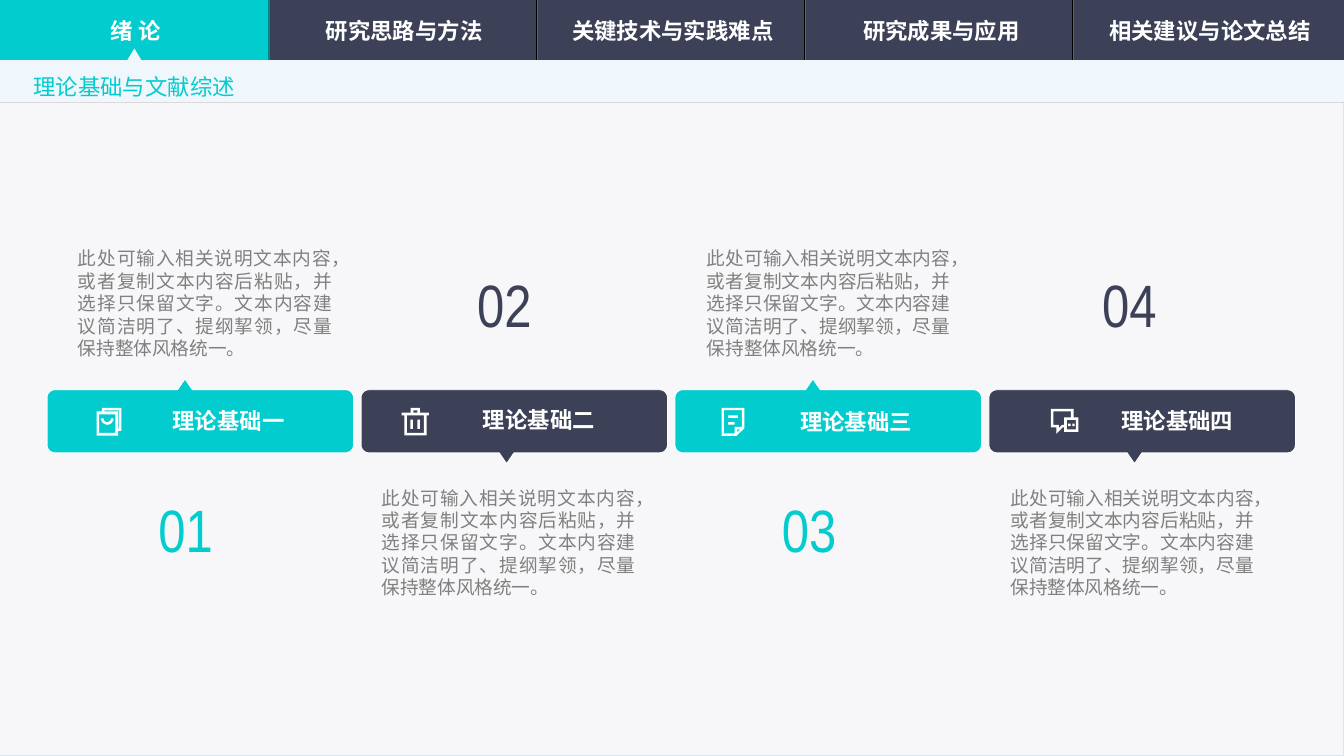
from math import cos, sin, radians
from lxml.etree import SubElement
from pptx import Presentation
from pptx.util import Pt
from pptx.dml.color import RGBColor
from pptx.enum.shapes import MSO_SHAPE, MSO_CONNECTOR
from pptx.enum.text import PP_ALIGN, MSO_ANCHOR
from pptx.oxml.ns import qn

TEAL, NAVY, WHITE, GREY = "03CCCE", "3C4157", "FFFFFF", "808080"
SANS, NARROW = "Noto Sans CJK SC", "Arial Narrow"
W, H, NAV_H, HEAD_B = 720, 405, 32.3, 54.8

TABS = ["绪 论", "研究思路与方法", "关键技术与实践难点", "研究成果与应用", "相关建议与论文总结"]
TITLE = "理论基础与文献综述"
BODY = "此处可输入相关说明文本内容，或者复制文本内容后粘贴，并选择只保留文字。文本内容建议简洁明了、提纲挈领，尽量保持整体风格统一。"


def arc(cx, cy, r, start, end, n=8):
    angles = [radians(start + (end - start) * i / n) for i in range(n + 1)]
    return [(cx + r * cos(a), cy + r * sin(a)) for a in angles]


BAG = dict(at=(51.8, 218.5), rects=[], outlines=[
    [[(0, 2), (2.8, 2), (2.8, 0), (13.2, 0), (13.2, 12.4), (11.5, 12.4), (11.5, 14.9), (0, 14.9)],
     [(1.4, 3.5), (10.1, 3.5), (10.1, 13.5), (1.4, 13.5)],
     [(4.2, 1.4), (11.9, 1.4), (11.9, 11), (11.5, 11), (11.5, 2), (4.2, 2)]],
    [arc(5.7, 5.7, 3.4, 180, 0) and arc(5.7, 5.7, 3.4, 0, 180) + arc(5.7, 5.7, 2, 180, 0)]])
BAG["outlines"][1] = [arc(5.7, 5.7, 3.4, 0, 180) + arc(5.7, 5.7, 2, 180, 0)]
BIN = dict(at=(215.2, 218.5), rects=[(4.6, 6.3, 1.4, 5), (8.4, 6.3, 1.4, 5)], outlines=[
    [[(0, 2.6), (4.8, 2.6), (4.8, 0), (9.8, 0), (9.8, 2.6), (14.6, 2.6), (14.6, 4), (13.3, 4),
      (13.3, 14.8), (1.4, 14.8), (1.4, 4), (0, 4)],
     [(6.2, 1.4), (8.4, 1.4), (8.4, 2.6), (6.2, 2.6)],
     [(2.8, 4), (11.9, 4), (11.9, 13.4), (2.8, 13.4)]]])
NOTE = dict(at=(386.6, 218.5), rects=[(3.5, 4.1, 5.2, 1.3), (3.5, 7.7, 3.5, 1.3)], outlines=[
    [[(0, 0), (0, 15), (8, 15), (12.2, 11), (12.2, 0)],
     [(1.3, 1.3), (10.9, 1.3), (10.9, 10.2), (7, 10.2), (7, 13.7), (1.3, 13.7)],
     [(10, 11.5), (8.3, 13.1), (8.3, 11.5)]]])
CHAT = dict(at=(563, 219), rects=[(9.3, 8, 1.3, 1.3), (11.5, 8, 1.3, 1.3)], outlines=[
    [[(12.2, 4.6), (12.2, 0), (0, 0), (0, 10), (2.9, 10), (2.9, 13.4), (6.3, 10), (7.2, 10),
      (7.2, 12.4), (14.8, 12.4), (14.8, 4.6)],
     [(6, 8.6), (4.3, 10.3), (4.3, 8.6), (1.4, 8.6), (1.4, 1.4), (10.8, 1.4), (10.8, 4.6),
      (7.2, 4.6), (7.2, 8.6)],
     [(13.4, 11), (8.6, 11), (8.6, 6), (13.4, 6)]]])

CARDS = [
    dict(num="01", label="理论基础一", label_at=(85, 214.6), num_at=(77.8, 260.6, 44),
         body_at=(41.8, 132.5, 136), icon=BAG),
    dict(num="02", label="理论基础二", label_at=(251.3, 213.8), num_at=(246.2, 139.7, 48.2),
         body_at=(204.5, 260.6, 136), icon=BIN),
    dict(num="03", label="理论基础三", label_at=(421.2, 215.3), num_at=(411.8, 260.6, 49),
         body_at=(378.7, 132.5, 130.3), icon=NOTE),
    dict(num="04", label="理论基础四", label_at=(593.3, 214.6), num_at=(581, 139.7, 48.2),
         body_at=(541.4, 260.6, 130.3), icon=CHAT),
]

prs = Presentation()
prs.slide_width, prs.slide_height = Pt(W), Pt(H)
s = prs.slides.add_slide(prs.slide_layouts[6])


def rgb(color):
    return RGBColor.from_string(color)


def paint(sp, fill, line=None):
    sp.shadow.inherit = False
    sp.fill.solid()
    sp.fill.fore_color.rgb = rgb(fill)
    if line:
        sp.line.color.rgb = rgb(line)
        sp.line.width = Pt(0.5)
    else:
        sp.line.fill.background()


def rect(x, y, w, h, fill, line=None, shapes=s.shapes):
    sp = shapes.add_shape(MSO_SHAPE.RECTANGLE, Pt(x), Pt(y), Pt(w), Pt(h))
    paint(sp, fill, line)


def outline(contours, fill, line=None, at=(0, 0), shapes=s.shapes):
    fb = None
    for contour in contours:
        pts = [(Pt(at[0] + x), Pt(at[1] + y)) for x, y in contour]
        if fb is None:
            fb = shapes.build_freeform(*pts[0])
        else:
            fb.move_to(*pts[0])
        fb.add_line_segments(pts[1:], close=True)
    paint(fb.convert_to_shape(), fill, line)


def rule(x1, y1, x2, y2, color, width):
    c = s.shapes.add_connector(MSO_CONNECTOR.STRAIGHT, Pt(x1), Pt(y1), Pt(x2), Pt(y2))
    c.line.color.rgb = rgb(color)
    c.line.width = Pt(width)
    SubElement(c._element.spPr, qn("a:effectLst"))


def text(x, y, w, h, words, size, font, color, bold=False, align=PP_ALIGN.CENTER,
         wrap=False, inset=True, anchor=MSO_ANCHOR.TOP, spacing=None):
    tf = s.shapes.add_textbox(Pt(x), Pt(y), Pt(w), Pt(h)).text_frame
    tf.word_wrap, tf.vertical_anchor = wrap, anchor
    if not inset:
        tf.margin_left = tf.margin_right = tf.margin_top = tf.margin_bottom = 0
    p = tf.paragraphs[0]
    p.text, p.alignment = words, align
    if spacing:
        p.line_spacing = spacing
    f = p.font
    f.size, f.bold, f.name = Pt(size), bold, font
    f.color.rgb = rgb(color)
    SubElement(f._element, qn("a:ea")).set("typeface", font)


def banner(x, up, fill):
    w, top, bottom, r = 164.2, 208.8, 242.6, 4.2
    tip = x + (73.9 if up else 78)
    upper = [(tip - 4, top), (tip, top - 5.8), (tip + 4, top)] if up else []
    lower = [] if up else [(tip + 4, bottom), (tip, bottom + 5.8), (tip - 4, bottom)]
    pts = (arc(x + r, top + r, r, 180, 270) + upper + arc(x + w - r, top + r, r, 270, 360)
           + arc(x + w - r, bottom - r, r, 0, 90) + lower + arc(x + r, bottom - r, r, 90, 180))
    outline([pts], fill, WHITE)


rect(0, 0, W, NAV_H, NAVY)
for i in range(1, len(TABS)):
    x = 143.6 * i
    rule(x, 0, x, NAV_H, "000000", 0.5)
    rule(x + 0.8, 0, x + 0.8, NAV_H, "596181", 0.75)
rect(0, HEAD_B, W, H - HEAD_B, "F7F7F9", "D4E7F9")
rect(0, 0, 144, NAV_H, TEAL)
outline([[(72, 26), (75.8, NAV_H), (W, NAV_H), (W, HEAD_B), (0, HEAD_B), (0, NAV_H),
          (68.2, NAV_H)]], "EFF6FC")
rule(0, HEAD_B, W, HEAD_B, "D9D9D9", 0.5)

for i, card in enumerate(CARDS):
    up = i % 2 == 0
    color = TEAL if up else NAVY
    banner(25.2 + 168.2 * i, up, color)
    icon, grp = card["icon"], s.shapes.add_group_shape()
    ix, iy = icon["at"]
    for contours in icon["outlines"]:
        outline(contours, WHITE, at=icon["at"], shapes=grp.shapes)
    for x, y, w, h in icon["rects"]:
        rect(ix + x, iy + y, w, h, WHITE, shapes=grp.shapes)
    text(*card["label_at"], 74.9, 21.6, card["label"], 12, NARROW, WHITE, bold=True)
    x, y, w = card["num_at"]
    text(x, y, w, 46, card["num"], 32, NARROW, color,
         align=PP_ALIGN.LEFT if up else PP_ALIGN.CENTER)
    x, y, w = card["body_at"]
    text(x, y, w, 60.5, BODY, 10, "Arial", GREY, align=PP_ALIGN.JUSTIFY, wrap=True, inset=False)

text(10.8, 29.5, 123.8, 26.6, TITLE, 12, SANS, TEAL, align=PP_ALIGN.LEFT,
     anchor=MSO_ANCHOR.MIDDLE, spacing=1.5)
for i, tab in enumerate(TABS):
    text(1 + 143.9 * i, 5, 143.3, 22.3, tab, 12, SANS, WHITE, bold=True, wrap=True,
         anchor=MSO_ANCHOR.MIDDLE)

prs.save("out.pptx")
